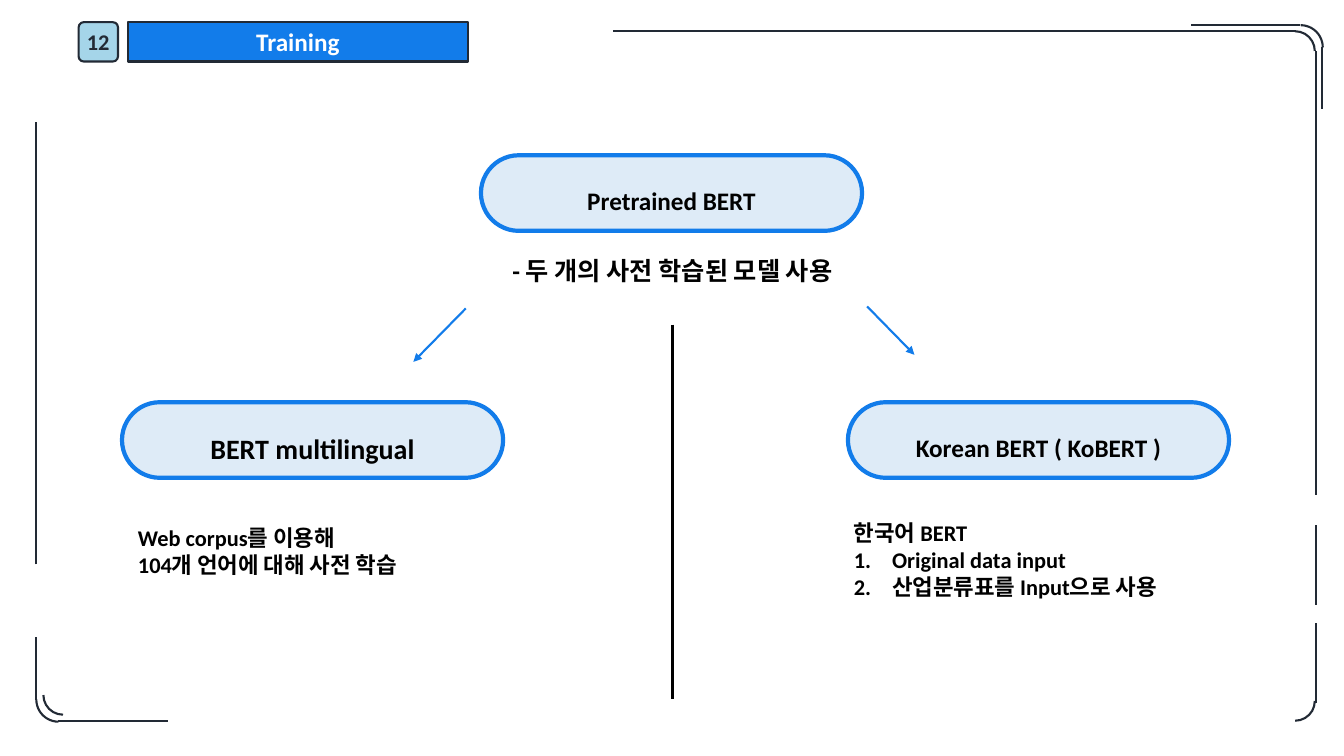
from lxml import etree
from pptx import Presentation
from pptx.dml.color import RGBColor
from pptx.enum.shapes import MSO_CONNECTOR, MSO_SHAPE
from pptx.enum.text import MSO_ANCHOR, MSO_AUTO_SIZE, PP_ALIGN
from pptx.oxml.ns import qn
from pptx.util import Inches, Pt

FONT = "Calibri"
BLACK, WHITE, BLUE, PALE, SKY, INK = (
    "000000", "FFFFFF", "127CEA", "DEEBF7", "A5D5E9", "222A35")

# Content
TITLE, PAGE = "Training", "12"
MODELS = [  # label, left, top, text size
    ("Pretrained BERT", 4.77, 1.54, 18),
    ("BERT multilingual", 1.21, 3.99, 20),
    ("Korean BERT ( KoBERT )", 8.41, 3.99, 18),
]
MODEL_WIDTH, MODEL_HEIGHT = 3.78, 0.75
SUMMARY = "- 두 개의 사전 학습된 모델 사용"
MULTILINGUAL_NOTES = ["Web corpus를 이용해", "104개 언어에 대해 사전 학습"]
KOREAN_HEADING = "한국어 BERT"
KOREAN_STEPS = ["Original data input", "산업분류표를 Input으로 사용"]
BRANCHES = [(4.62, 3.06, 4.1, 3.59), (8.6, 3.04, 9.07, 3.52)]
DIVIDER = (6.67, 3.22, 6.67, 6.93)

# Frame: edges as x1, y1, x2, y2; corners as left, top, size, rotation
LEFT, RIGHT, TOP, BOTTOM = 0.36, 13.05, 0.31, 7.15
OUTER_RIGHT, OUTER_TOP = 13.11, 0.25
FRAME_EDGES = [
    (12.85, TOP, 6.08, TOP),
    (12.89, OUTER_TOP, 11.81, OUTER_TOP),
    (OUTER_RIGHT, 1.08, OUTER_RIGHT, 0.47),
    (RIGHT, 4.91, RIGHT, 0.51),
    (RIGHT, 6, RIGHT, 5.21),
    (RIGHT, 6.97, RIGHT, 6.18),
    (0.58, BOTTOM, 1.67, BOTTOM),
    (LEFT, 6.32, LEFT, 6.94),
    (LEFT, 5.6, LEFT, 1.21),
]
FRAME_CORNERS = [
    (12.65, TOP, 0.39, 0), (12.68, OUTER_TOP, 0.44, 0),
    (12.65, 6.76, 0.39, 90),
    (0.43, 6.7, 0.39, 180), (LEFT, 6.72, 0.44, 180),
]


def color(hex_string):
    return RGBColor.from_string(hex_string)


def outline(item, hex_string, width):
    item.line.color.rgb = color(hex_string)
    item.line.width = Pt(width)


def paint(shape, fill, line, width):
    shape.fill.solid()
    shape.fill.fore_color.rgb = color(fill)
    outline(shape, line, width)


def style_text(frame, size, hex_string=BLACK, align=PP_ALIGN.LEFT, spacing=1.0):
    for paragraph in frame.paragraphs:
        paragraph.alignment = align
        paragraph.line_spacing = spacing
        for run in paragraph.runs:
            font = run.font
            font.name, font.size, font.bold = FONT, Pt(size), True
            font.color.rgb = color(hex_string)
            east_asian = etree.SubElement(font._element, qn("a:ea"))
            east_asian.set("typeface", FONT)


def add_pill(slide, box, text, size, fill, line, width, rounding,
             text_color=BLACK, spacing=1.0):
    pill = slide.shapes.add_shape(
        MSO_SHAPE.ROUNDED_RECTANGLE, *map(Inches, box))
    pill.shadow.inherit = False
    pill.adjustments[0] = rounding
    paint(pill, fill, line, width)
    frame = pill.text_frame
    frame.text = text
    frame.vertical_anchor = MSO_ANCHOR.MIDDLE
    style_text(frame, size, text_color, PP_ALIGN.CENTER, spacing)
    return pill


def add_text(slide, box, lines, size, **style):
    frame = slide.shapes.add_textbox(*map(Inches, box)).text_frame
    frame.word_wrap = True
    frame.auto_size = MSO_AUTO_SIZE.SHAPE_TO_FIT_TEXT
    frame.text = "\n".join(lines)
    style_text(frame, size, **style)
    return frame


def add_line(slide, ends, hex_string, arrow=False):
    line = slide.shapes.add_connector(
        MSO_CONNECTOR.STRAIGHT, *map(Inches, ends))
    outline(line, hex_string, 1.5)
    if arrow:
        head = etree.SubElement(line.line._get_or_add_ln(), qn("a:tailEnd"))
        head.set("type", "triangle")
    etree.SubElement(line._element.spPr, qn("a:effectLst"))


def number(paragraph):
    properties = paragraph._p.get_or_add_pPr()
    properties.set("marL", str(Inches(0.38)))
    properties.set("indent", str(-Inches(0.38)))
    bullet_font = etree.SubElement(properties, qn("a:buFont"))
    bullet_font.set("typeface", "+mj-lt")
    bullet = etree.SubElement(properties, qn("a:buAutoNum"))
    bullet.set("type", "arabicPeriod")


def format_title(title):
    title.left, title.top, title.width, title.height = map(
        Inches, (1.27, 0.22, 3.37, 0.39))
    geometry = etree.Element(qn("a:prstGeom"), prst="roundRect")
    guides = etree.SubElement(geometry, qn("a:avLst"))
    etree.SubElement(guides, qn("a:gd"), name="adj", fmla="val 11100")
    title._element.spPr.insert(1, geometry)
    paint(title, BLUE, INK, 1.5)
    frame = title.text_frame
    frame.text = TITLE
    frame.auto_size = MSO_AUTO_SIZE.NONE
    frame.vertical_anchor = MSO_ANCHOR.MIDDLE
    style_text(frame, 18, WHITE, PP_ALIGN.CENTER)


def main():
    deck = Presentation()
    deck.slide_width, deck.slide_height = Inches(13.33), Inches(7.5)
    slide = deck.slides.add_slide(deck.slide_layouts[5])

    # Header
    format_title(slide.shapes.title)
    page = add_pill(slide, (0.78, 0.22, 0.39, 0.39), PAGE, 16, SKY, INK, 1.5,
                    0.13, text_color=INK)
    page.text_frame.word_wrap = False

    # Notes on the models
    add_text(slide, (2.77, 2.33, 7.8, 0.51), [SUMMARY], 18,
             align=PP_ALIGN.CENTER, spacing=1.5)
    add_text(slide, (1.27, 5.15, 3.78, 0.91), MULTILINGUAL_NOTES, 16)
    korean = add_text(slide, (8.37, 5.1, 3.69, 1.18),
                      [KOREAN_HEADING] + KOREAN_STEPS, 16)
    for step in korean.paragraphs[1:]:
        number(step)

    # Model tree
    for label, left, top, size in MODELS:
        add_pill(slide, (left, top, MODEL_WIDTH, MODEL_HEIGHT), label, size,
                 PALE, BLUE, 3, 0.5, spacing=1.5)
    for branch in BRANCHES:
        add_line(slide, branch, BLUE, arrow=True)
    add_line(slide, DIVIDER, BLACK)

    # Frame
    for edge in FRAME_EDGES:
        add_line(slide, edge, INK)
    for left, top, size, rotation in FRAME_CORNERS:
        corner = slide.shapes.add_shape(
            MSO_SHAPE.ARC, *map(Inches, (left, top, size, size)))
        corner.shadow.inherit = False
        corner.fill.background()
        outline(corner, INK, 1.5)
        corner.rotation = rotation

    deck.save("out.pptx")


if __name__ == "__main__":
    main()
